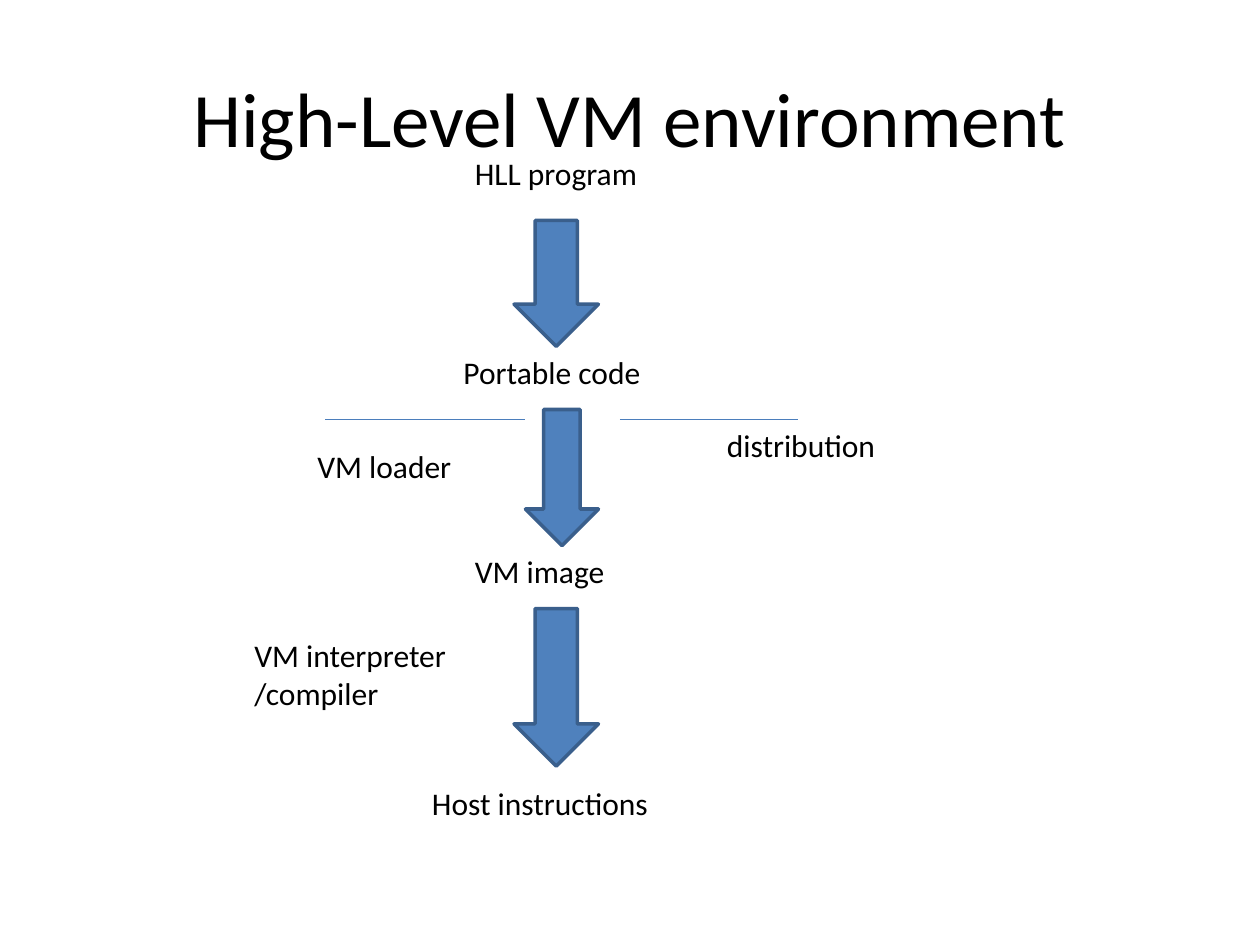
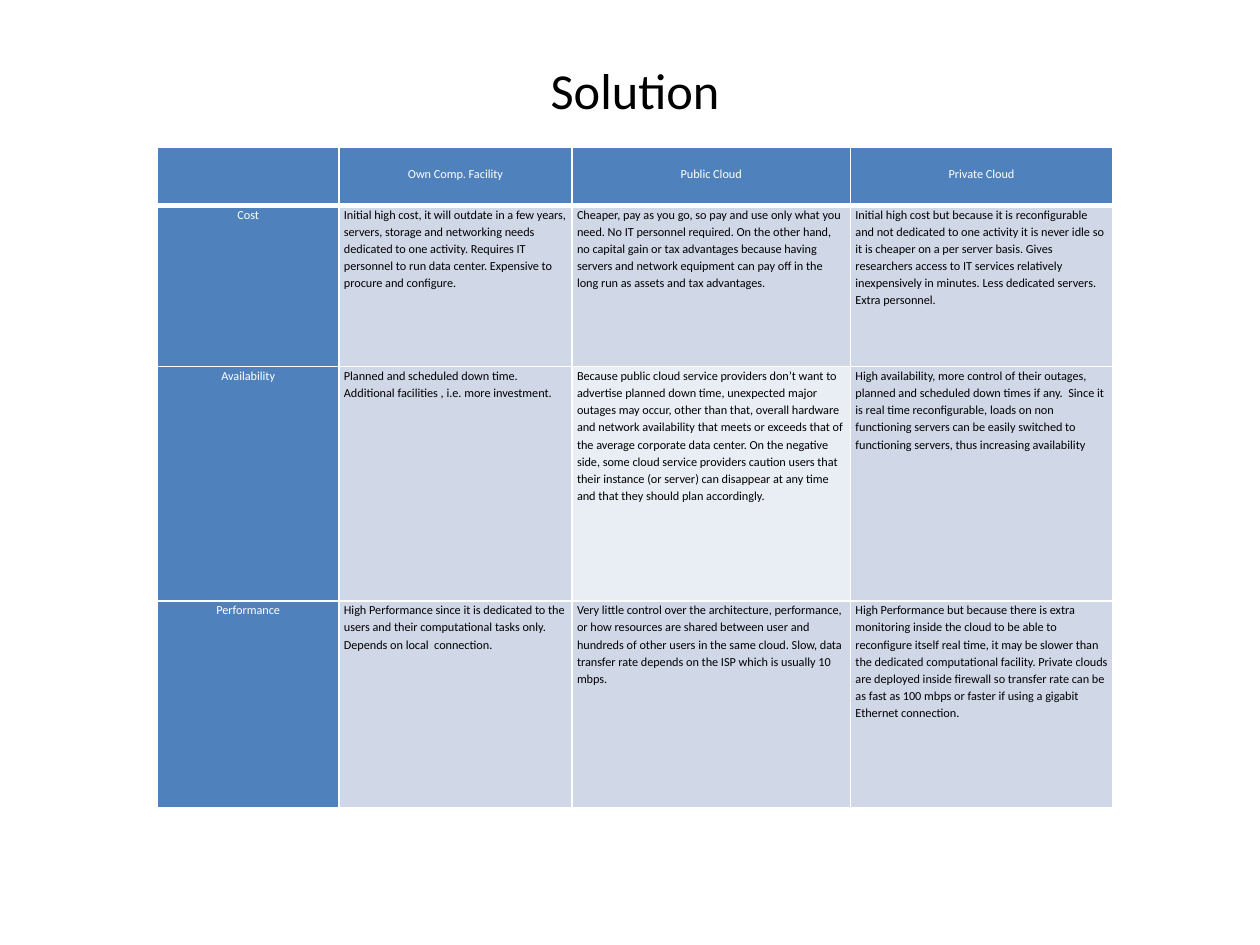
import pptx
import pptx.dml.color
import pptx.enum.shapes
import pptx.enum.text
import pptx.oxml
import pptx.oxml.ns
import pptx.util

Inches = pptx.util.Inches
Pt = pptx.util.Pt
RGBColor = pptx.dml.color.RGBColor
Align = pptx.enum.text.PP_ALIGN
Anchor = pptx.enum.text.MSO_ANCHOR

BLACK = RGBColor(0x00, 0x00, 0x00)
WHITE = RGBColor(0xFF, 0xFF, 0xFF)
BLUE = RGBColor(0x4F, 0x81, 0xBD)
ARROW_EDGE = RGBColor(0x3A, 0x5F, 0x8C)
RULE_BLUE = RGBColor(0x4B, 0x7E, 0xBC)
BODY_FILL = RGBColor(0xD0, 0xD8, 0xE8)
PALE_FILL = RGBColor(0xE9, 0xED, 0xF4)
FONT = "Calibri"

STAGES = [
    ("HLL program", 3.67, 1.17, 1.67, 0.4),
    ("Portable code", 3.58, 2.75, 1.75, 0.4),
    ("VM image", 3.67, 4.33, 1.67, 0.4),
    ("Host instructions", 3.33, 6.17, 2.58, 0.4),
]
SIDE_NOTES = [
    ("distribution", 5.67, 3.33, 1.42, 0.4),
    ("VM loader", 2.42, 3.5, 1.67, 0.4),
    ("VM interpreter /compiler", 1.92, 5, 2, 0.71),
]
ARROWS = [(4.08, 1.75, 0.67, 1), (4.17, 3.25, 0.58, 1.08), (4.08, 4.83, 0.67, 1.25)]
DISTRIBUTION_Y = 3.33
DISTRIBUTION_RULES = [(2.58, 4.17), (4.92, 6.33)]

COLUMN_WIDTHS = [1.44, 1.85, 2.21, 2.08]
ROW_HEIGHTS = [0.46, 1.28, 1.86, 1.64]
COMPARISON = [
    ["", "Own Comp. Facility", "Public Cloud", "Private Cloud"],
    [
        "Cost",
        "Initial high cost, it will outdate in a few years, servers, storage and "
        "networking needs dedicated to one activity. Requires IT personnel to run "
        "data center. Expensive to procure and configure.",
        "Cheaper, pay as you go, so pay and use only what you need. No IT personnel "
        "required. On the other hand, no capital gain or tax advantages because "
        "having servers and network equipment can pay off in the long run as assets "
        "and tax advantages.",
        "Initial high cost but because it is reconfigurable and not dedicated to one "
        "activity it is never idle so it is cheaper on a per server basis. Gives "
        "researchers access to IT services relatively inexpensively in minutes. "
        "Less dedicated servers.\nExtra personnel.",
    ],
    [
        "Availability",
        "Planned and scheduled down time.  Additional facilities , i.e. more investment.",
        "Because public cloud service providers don’t want to advertise planned down "
        "time, unexpected major outages may occur, other than that, overall hardware "
        "and network availability that meets or exceeds that of the average corporate "
        "data center. On the negative side, some cloud service providers caution users "
        "that their instance (or server) can disappear at any time and that they "
        "should plan accordingly.",
        "High availability, more control of their outages, planned and scheduled down "
        "times if any.  Since it is real time reconfigurable, loads on non functioning "
        "servers can be easily switched to functioning servers, thus increasing "
        "availability",
    ],
    [
        "Performance",
        "High Performance since it is dedicated to the users and their computational "
        "tasks only. Depends on local  connection.",
        "Very little control over the architecture, performance, or how resources are "
        "shared between user and hundreds of other users in the same cloud. Slow, data "
        "transfer rate depends on the ISP which is usually 10 mbps.",
        "High Performance but because there is extra monitoring inside the cloud to be "
        "able to reconfigure itself real time, it may be slower than the dedicated "
        "computational facility. Private clouds are deployed inside firewall so "
        "transfer rate can be as fast as 100 mbps or faster if using a gigabit "
        "Ethernet connection.",
    ],
]
PALE_CELL = (2, 2)


def set_attributes(target, values):
    for name, value in values.items():
        setattr(target, name, value)


def write_text(frame, text, size, color=BLACK, **paragraph_format):
    frame.text = text
    for para in frame.paragraphs:
        set_attributes(para, paragraph_format)
        set_attributes(para.font, {"name": FONT, "size": Pt(size), "bold": False})
        para.font.color.rgb = color


def add_text(page, text, left, top, width, height, size=18, anchor=Anchor.TOP, **paragraph_format):
    box = page.shapes.add_textbox(*map(Inches, (left, top, width, height)))
    set_attributes(box.text_frame, {"word_wrap": True, "vertical_anchor": anchor})
    write_text(box.text_frame, text, size, **paragraph_format)


def add_title(page, text, left, top, width, height, size):
    add_text(page, text, left, top, width, height, size, Anchor.MIDDLE, alignment=Align.CENTER)


def add_down_arrow(page, left, top, width, height):
    arrow = page.shapes.add_shape(
        pptx.enum.shapes.MSO_SHAPE.DOWN_ARROW, *map(Inches, (left, top, width, height))
    )
    arrow.shadow.inherit = False
    arrow.fill.solid()
    arrow.fill.fore_color.rgb = BLUE
    arrow.line.color.rgb = ARROW_EDGE
    arrow.line.width = Pt(2)


def add_rule(page, start, end, height):
    rule = page.shapes.add_connector(
        pptx.enum.shapes.MSO_CONNECTOR.STRAIGHT, *map(Inches, (start, height, end, height))
    )
    rule.line.color.rgb = RULE_BLUE
    rule.line.width = Pt(0.75)
    pptx.oxml.ns.qn("a:effectLst")
    rule._element.spPr.append(
        pptx.oxml.parse_xml(f'<a:effectLst {pptx.oxml.ns.nsdecls("a")}/>')
    )


def add_cell_borders(cell, widths):
    properties = cell._tc.get_or_add_tcPr()
    for side, width in widths.items():
        properties.append(pptx.oxml.parse_xml(
            f'<a:ln{side} {pptx.oxml.ns.nsdecls("a")} w="{Pt(width)}">'
            f'<a:solidFill><a:srgbClr val="{WHITE}"/></a:solidFill></a:ln{side}>'
        ))


def fill_cell(cell, text, row, column):
    is_header = row == 0
    is_label = is_header or column == 0
    add_cell_borders(cell, {
        "L": 1, "R": 1, "T": 3 if row == 1 else 1, "B": 3 if is_header else 1,
    })
    cell.fill.solid()
    body_fill = PALE_FILL if (row, column) == PALE_CELL else BODY_FILL
    cell.fill.fore_color.rgb = BLUE if is_label else body_fill
    set_attributes(cell, {
        "margin_left": Inches(0.04),
        "margin_right": Inches(0.04),
        "margin_top": Inches(0.14 if is_header else 0),
        "margin_bottom": 0,
    })
    write_text(
        cell.text_frame, text, 7, WHITE if is_label else BLACK,
        alignment=Align.CENTER if is_label else Align.LEFT, line_spacing=1.15,
    )


def add_comparison_table(page, left, top):
    table = page.shapes.add_table(
        len(ROW_HEIGHTS), len(COLUMN_WIDTHS), Inches(left), Inches(top),
        Inches(sum(COLUMN_WIDTHS)), Inches(sum(ROW_HEIGHTS)),
    ).table
    for column, width in zip(table.columns, COLUMN_WIDTHS):
        column.width = Inches(width)
    for row, height in zip(table.rows, ROW_HEIGHTS):
        row.height = Inches(height)
    for row, texts in enumerate(COMPARISON):
        for column, text in enumerate(texts):
            fill_cell(table.cell(row, column), text, row, column)


def build_environment_page(page):
    for arrow in ARROWS:
        add_down_arrow(page, *arrow)
    for start, end in DISTRIBUTION_RULES:
        add_rule(page, start, end, DISTRIBUTION_Y)
    for label in STAGES + SIDE_NOTES:
        add_text(page, *label)
    add_title(page, "High-Level VM environment", 0.5, 0.3, 9, 1.25, 44)


def build_solution_page(page):
    add_comparison_table(page, 1.25, 1.17)
    add_title(page, "Solution", 0.54, 0.42, 9, 0.58, 28.8)


def main():
    deck = pptx.Presentation()
    set_attributes(deck, {"slide_width": Inches(10), "slide_height": Inches(7.5)})
    for build_page in (build_environment_page, build_solution_page):
        build_page(deck.slides.add_slide(deck.slide_layouts[6]))
    deck.save("out.pptx")


if __name__ == "__main__":
    main()
